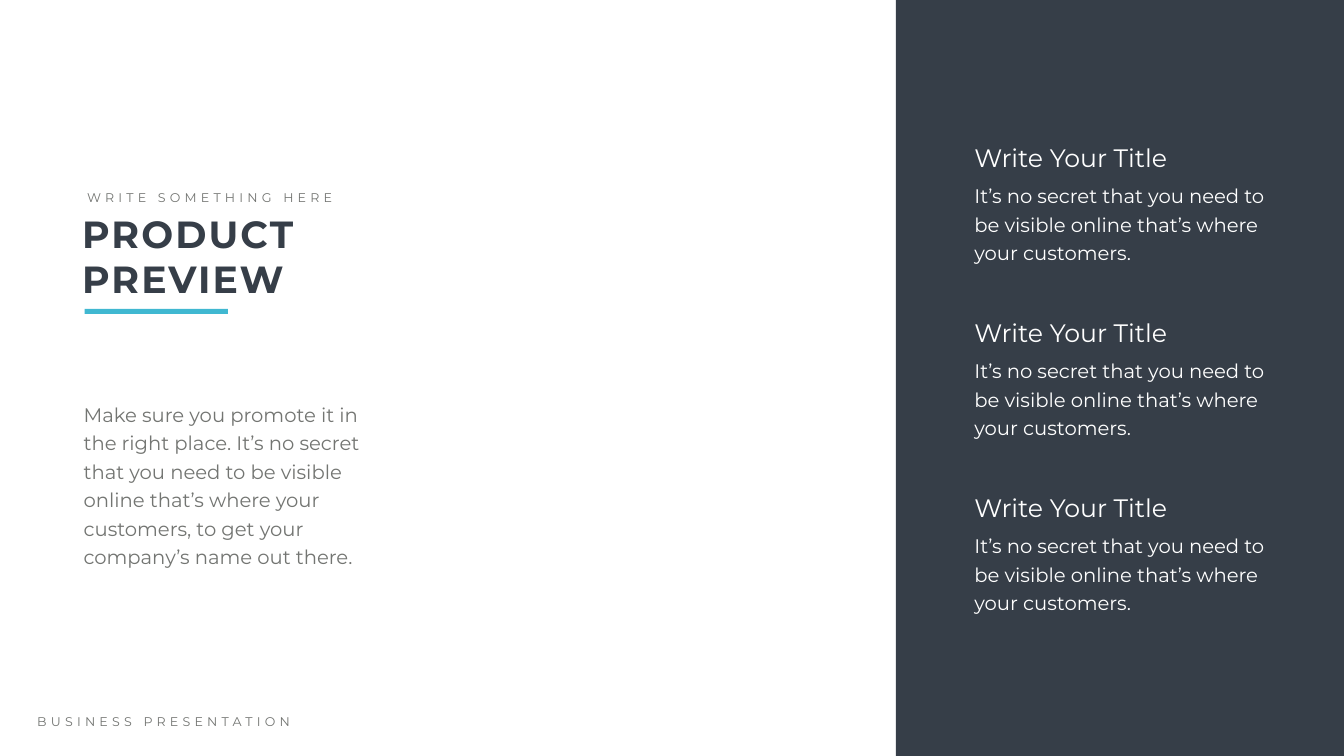
from pptx import Presentation
from pptx.dml.color import RGBColor
from pptx.enum.shapes import MSO_SHAPE
from pptx.enum.text import MSO_AUTO_SIZE
from pptx.util import Inches, Pt

RECTANGLE = MSO_SHAPE.RECTANGLE
GROW = MSO_AUTO_SIZE.SHAPE_TO_FIT_TEXT
FONT = "Montserrat"
DARK, ACCENT, GREY, WHITE = "363E48", "40B8D1", "737572", "FFFFFF"
BODY_LEADING = 40.8


def add_bar(left, top, width, height, color):
    bar = page.shapes.add_shape(
        RECTANGLE, Inches(left), Inches(top), Inches(width), Inches(height))
    bar.shadow.inherit = False
    bar.fill.solid()
    bar.fill.fore_color.rgb = RGBColor.from_string(color)
    bar.line.fill.background()


def add_text(text, left, top, width, height, size, color,
             bold=False, leading=None, tracking=None, wrap=True):
    """Add a one-paragraph text box; size, leading and tracking are in points."""
    box = page.shapes.add_textbox(
        Inches(left), Inches(top), Inches(width), Inches(height))
    frame = box.text_frame
    frame.word_wrap = wrap
    frame.auto_size = GROW
    para = frame.paragraphs[0]
    span = para.add_run()
    span.text = text
    para.font.name = FONT
    para.font.size = Pt(size)
    para.font.bold = bold
    para.font.color.rgb = RGBColor.from_string(color)
    if leading:
        para.line_spacing = Pt(leading)
    if tracking:
        span._r.get_or_add_rPr().set("spc", str(tracking * 100))


deck = Presentation()
deck.slide_width = Inches(26.66)
deck.slide_height = Inches(15)
page = deck.slides.add_slide(deck.slide_layouts[6])

# Right panel with three evenly spaced entries
add_bar(17.77, 0, 8.89, 15, DARK)
for index in range(3):
    top = 2.77 + index * 3.475
    add_text("Write Your Title", 19.23, top, 4.5, 0.71, 36, WHITE)
    add_text("It’s no secret that you need to be visible online "
             "that’s where your customers.",
             19.23, top + 0.73, 5.98, 1.78, 28, WHITE, leading=BODY_LEADING)

# Heading block
add_text("PRODUCT PREVIEW", 1.53, 4.13, 5.29, 1.92, 54, DARK,
         bold=True, tracking=3)
add_text("WRITE SOMETHING HERE", 1.63, 3.72, 5.18, 0.4, 18, GREY,
         tracking=6, wrap=False)
add_bar(1.68, 6.13, 2.84, 0.1, ACCENT)

# Introduction and footer
add_text("Make sure you promote it in the right place. It’s no secret that "
         "you need to be visible online that’s where your customers, "
         "to get your company’s name out there.",
         1.56, 7.84, 5.73, 3.5, 28, GREY, leading=BODY_LEADING)
add_text("BUSINESS PRESENTATION", 0.64, 14.12, 6.05, 0.4, 18, GREY, tracking=6)

deck.save("out.pptx")
